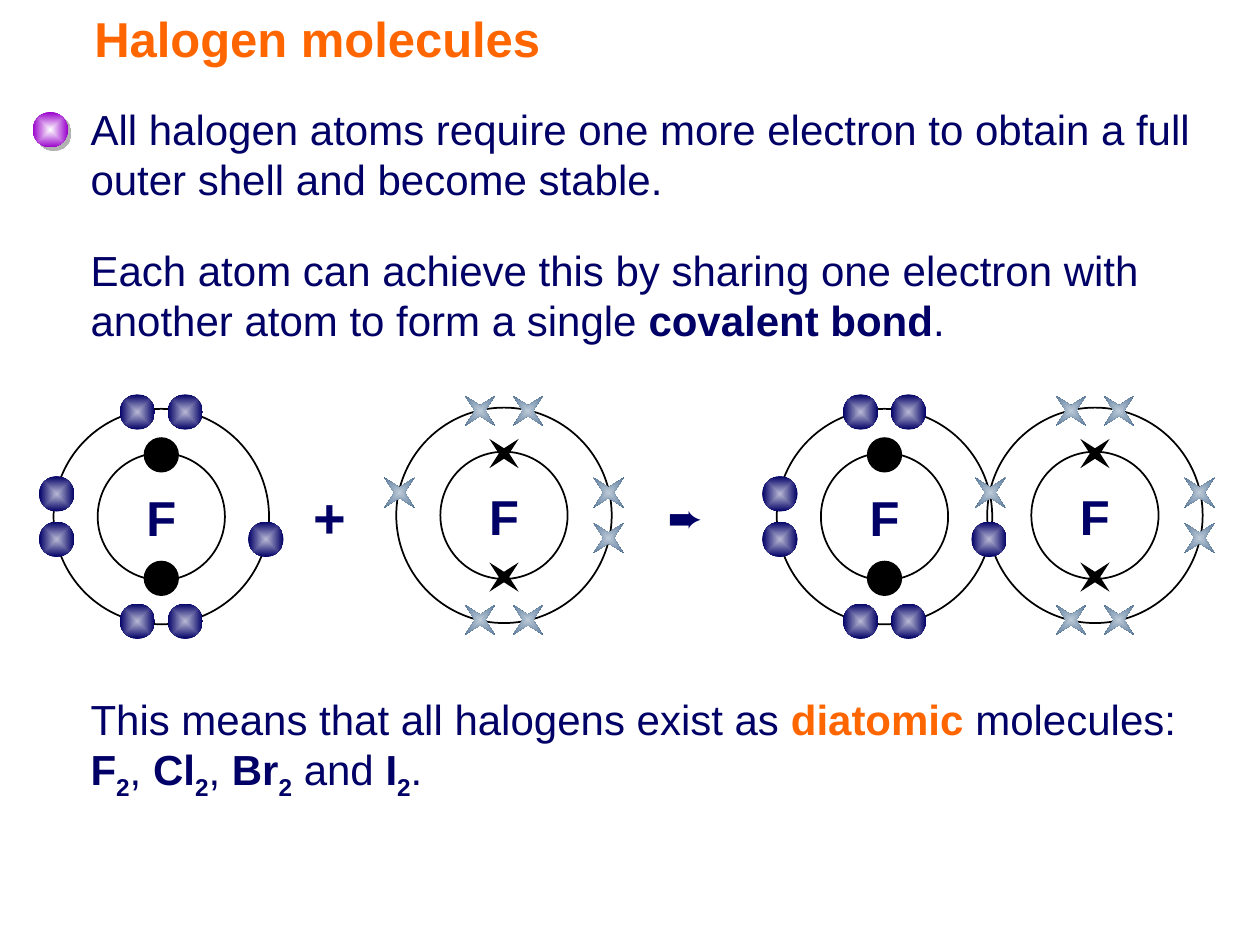
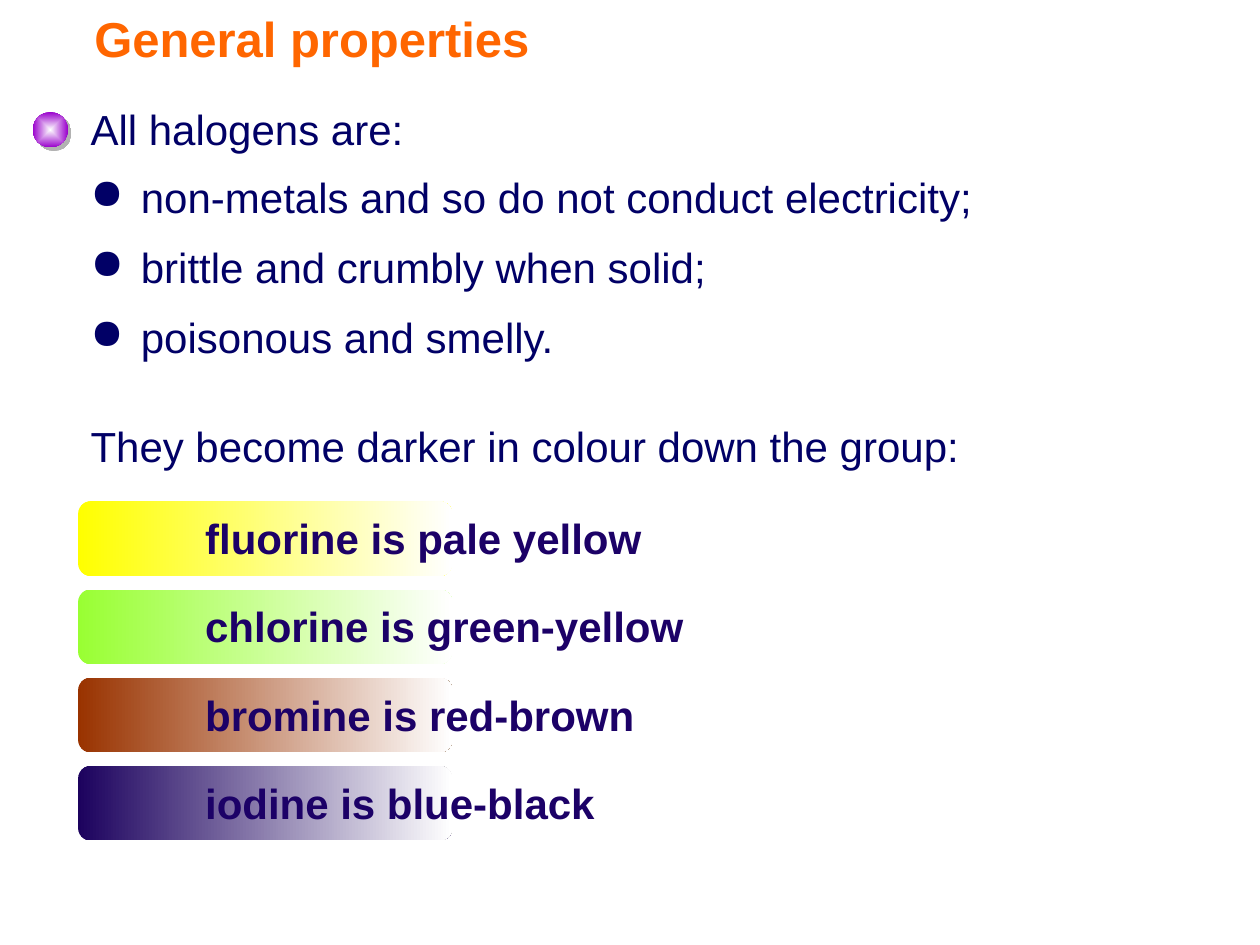
from dataclasses import dataclass

from lxml import etree
from pptx import Presentation, util as u
from pptx.dml.color import RGBColor
from pptx.enum import shapes, text
from pptx.oxml import ns

ELLIPSE = shapes.MSO_SHAPE.OVAL
STAR = shapes.MSO_SHAPE.STAR_4_POINT
BAR = shapes.MSO_SHAPE.ROUNDED_RECTANGLE


@dataclass(frozen=True)
class Theme:
    font: str = "Arial"
    accent: str = "FF6600"
    body: str = "010066"
    symbol: str = "000066"
    bar_label: str = "1C0167"
    black: str = "000000"
    white: str = "FFFFFF"
    marker: tuple = ("FFFFFF", "9900CC")
    marker_shadow: str = "B2B2B2"
    dot: tuple = ("B9B9D5", "010066")
    cross: tuple = ("BECBD8", "013366")
    title_size: int = 28
    body_size: int = 24
    plus_size: int = 32


class Deck:
    def __init__(self, theme):
        self.theme = theme
        self.file = Presentation()
        self.file.slide_width = u.Inches(10)
        self.file.slide_height = u.Inches(7.5)

    def page(self, title):
        self.slide = self.file.slides.add_slide(self.file.slide_layouts[6])
        self.ungroup()
        self.text(title, 0.65, 0.02, 7.89, 0.57, size=self.theme.title_size,
                  color=self.theme.accent, bold=True)
        self.marker()

    def group(self):
        self.canvas = self.slide.shapes.add_group_shape().shapes

    def ungroup(self):
        self.canvas = self.slide.shapes

    def style_run(self, run, size, color, bold):
        run.font.name = self.theme.font
        run.font.size = u.Pt(size)
        run.font.bold = bold
        run.font.color.rgb = RGBColor.from_string(color)

    def text(self, content, left, top, width, height=0.5, size=None, color=None,
             bold=False, centered=False, wrap=True):
        size = size or self.theme.body_size
        color = color or self.theme.body
        box = self.canvas.add_textbox(*map(u.Inches, (left, top, width, height)))
        frame = box.text_frame
        frame.word_wrap = wrap
        frame.vertical_anchor = text.MSO_ANCHOR.MIDDLE
        frame.text = content
        paragraph = frame.paragraphs[0]
        if centered:
            paragraph.alignment = text.PP_ALIGN.CENTER
        for run in paragraph.runs:
            self.style_run(run, size, color, bold)
        return paragraph

    def emphasis(self, paragraph, content, color=None, bold=True, subscript=False):
        run = paragraph.add_run()
        run.text = content
        self.style_run(run, self.theme.body_size, color or self.theme.body, bold)
        if subscript:
            run.font._element.set("baseline", "-25000")

    def bullet(self, content, top, width):
        paragraph = self.text(content, 0.62, top, width, wrap=False)
        properties = paragraph._p.get_or_add_pPr()
        properties.set("marL", str(u.Inches(0.4)))
        properties.set("indent", str(-u.Inches(0.4)))
        etree.SubElement(properties, ns.qn("a:buChar")).set("char", "●")

    def shape(self, preset, left, top, width, height, fill=None, line=None):
        item = self.canvas.add_shape(preset, *map(u.Inches, (left, top, width, height)))
        item.shadow.inherit = False
        if fill:
            item.fill.solid()
            item.fill.fore_color.rgb = RGBColor.from_string(fill)
        else:
            item.fill.background()
        if line:
            item.line.color.rgb = RGBColor.from_string(line)
            item.line.width = u.Pt(1)
        else:
            item.line.fill.background()
        return item

    def centered(self, preset, x, y, size, fill=None, line=None):
        return self.shape(preset, x - size / 2, y - size / 2, size, size, fill, line)

    def gradient(self, item, colors, radial=True):
        item.fill.gradient()
        item.fill.gradient_angle = 0
        for stop, color in zip(item.fill.gradient_stops, colors):
            stop.color.rgb = RGBColor.from_string(color)
        if radial:
            linear = item._element.spPr.find(".//" + ns.qn("a:lin"))
            shading = etree.Element(ns.qn("a:path"), {"path": "shape"})
            etree.SubElement(shading, ns.qn("a:fillToRect"),
                             {side: "50000" for side in "ltrb"})
            linear.getparent().replace(linear, shading)

    def marker(self):
        ball = self.shape(ELLIPSE, 0.26, 0.89, 0.28, 0.28)
        self.gradient(ball, self.theme.marker)
        effects = ball._element.spPr.find(ns.qn("a:effectLst"))
        shadow = etree.SubElement(effects, ns.qn("a:outerShdw"), {
            "blurRad": "0", "dist": str(u.Pt(2.8)), "dir": "2700000", "algn": "ctr"})
        etree.SubElement(shadow, ns.qn("a:srgbClr")).set("val", self.theme.marker_shadow)

    def electron(self, x, y, crossed=False, inner=False):
        fill = self.theme.black if inner else None
        if crossed:
            item = self.centered(STAR, x, y, 0.33, fill)
            item.adjustments[0] = 0.125
            item.rotation = 45
        else:
            item = self.centered(ELLIPSE, x, y, 0.28, fill)
        if not inner:
            self.gradient(item, self.theme.cross if crossed else self.theme.dot)

    def atom(self, x, y, crossed=False, see_through=False):
        outer_fill = None if see_through else self.theme.white
        self.centered(ELLIPSE, x, y, 1.71, outer_fill, self.theme.black)
        self.centered(ELLIPSE, x, y, 1.01, self.theme.white, self.theme.black)
        for side in (-1, 1):
            self.electron(x, y + side * 0.49, crossed, inner=True)
            for shift in (-0.19, 0.19):
                self.electron(x + shift, y + side * 0.83, crossed)
            lone_x = 0.83 if crossed else -0.83
            self.electron(x + lone_x, y + side * 0.18, crossed)
        self.text("F", x - 0.22, y - 0.28, 0.44, 0.57, self.theme.title_size,
                  self.theme.symbol, bold=True, centered=True, wrap=False)

    def bonding_electron(self, x, y, crossed=False):
        turn = -1 if crossed else 1
        self.electron(x + turn * 0.83, y + turn * 0.18, crossed)

    def colour_bar(self, content, color, top):
        self.group()
        bar = self.shape(BAR, 0.62, top, 2.97, 0.59)
        self.gradient(bar, (color, self.theme.white), radial=False)
        self.text(content, 1.53, top + 0.04, 4.6, color=self.theme.bar_label, bold=True)
        self.ungroup()


def halogen_molecules(deck):
    theme = deck.theme
    deck.page("Halogen molecules")
    deck.text("All halogen atoms require one more electron to obtain a full "
              "outer shell and become stable.", 0.62, 0.77, 9.38, 0.9)
    sharing = deck.text("Each atom can achieve this by sharing one electron with another "
                        "atom to form a single ", 0.62, 1.89, 9.38, 0.9)
    deck.emphasis(sharing, "covalent bond")
    deck.emphasis(sharing, ".", bold=False)

    diatomic = deck.text("This means that all halogens exist as ", 0.62, 5.48, 9.38, 0.9)
    deck.emphasis(diatomic, "diatomic ", theme.accent)
    deck.emphasis(diatomic, "molecules:", bold=False)
    diatomic.add_line_break()
    for element, separator in (("F", ", "), ("Cl", ", "), ("Br", " and "), ("I", ".")):
        deck.emphasis(diatomic, element)
        deck.emphasis(diatomic, "2", subscript=True)
        deck.emphasis(diatomic, separator, bold=False)

    dot_y, cross_y = 4.1, 4.09
    for x, y, crossed in ((4.0, cross_y, True), (1.28, dot_y, False)):
        deck.group()
        deck.atom(x, y, crossed)
        deck.bonding_electron(x, y, crossed)

    deck.group()
    deck.atom(7.02, dot_y)
    deck.atom(8.69, cross_y, crossed=True, see_through=True)
    deck.bonding_electron(8.69, cross_y, crossed=True)
    deck.bonding_electron(7.02, dot_y)
    deck.ungroup()

    deck.text("+", 2.39, 3.78, 0.59, 0.63, theme.plus_size, bold=True)
    deck.text("➨", 5.2, 3.85, 0.54, color=theme.symbol, bold=True)


def general_properties(deck):
    deck.page("General properties")
    deck.text("All halogens are:", 0.62, 0.77, 3.49)
    properties = (("non-metals and so do not conduct electricity;", 7.2),
                  ("brittle and crumbly when solid;", 5.09),
                  ("poisonous and smelly.", 5.16))
    for row, (content, width) in enumerate(properties):
        deck.bullet(content, 1.31 + row * 0.555, width)

    deck.text("They become darker in colour down the group:", 0.62, 3.29, 7.22)
    halogens = (("fluorine is pale yellow", "FFFF00"),
                ("chlorine is green-yellow", "99FF33"),
                ("bromine is red-brown", "993300"),
                ("iodine is blue-black", "1C025E"))
    for row, (content, color) in enumerate(halogens):
        deck.colour_bar(content, color, 3.98 + row * 0.7)


def main():
    deck = Deck(Theme())
    halogen_molecules(deck)
    general_properties(deck)
    deck.file.save("out.pptx")


if __name__ == "__main__":
    main()
